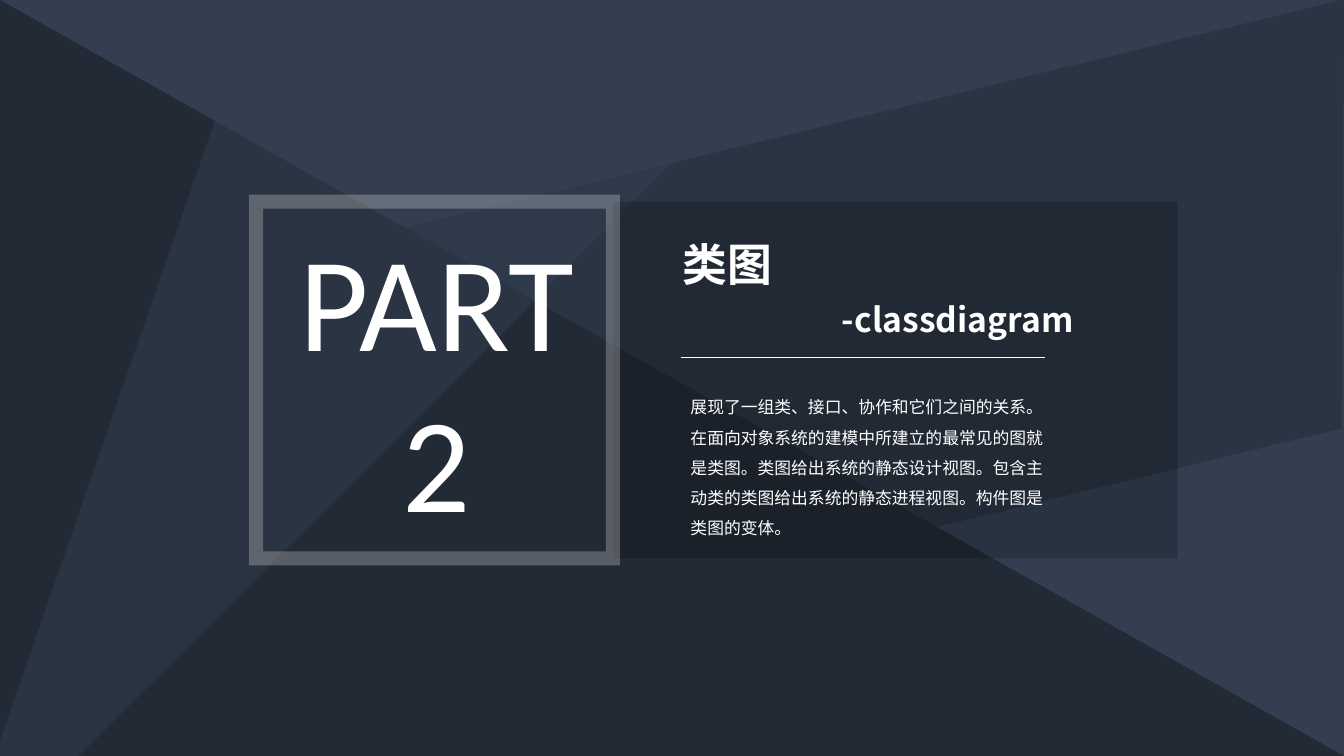
from dataclasses import dataclass

from lxml.etree import SubElement
from pptx import Presentation
from pptx.dml.color import RGBColor
from pptx.enum.shapes import MSO_CONNECTOR, MSO_SHAPE
from pptx.enum.text import MSO_AUTO_SIZE, PP_ALIGN
from pptx.oxml.ns import qn
from pptx.util import Inches, Pt


@dataclass(frozen=True)
class Theme:
    slate: str = "333F50"
    navy: str = "222A35"
    black: str = "000000"
    gray: str = "D9D9D9"
    white: str = "FFFFFF"
    latin: str = "Calibri"
    cjk: str = "Noto Sans CJK SC"
    huge: int = 96
    title: int = 32
    sub: int = 24
    body: int = 12


THEME = Theme()

PART = ["PART", "2"]
TITLE = "类图"
SUB = "-classdiagram"
BODY = (
    "展现了一组类、接口、协作和它们之间的关系。"
    "在面向对象系统的建模中所建立的最常见的图就是类图。"
    "类图给出系统的静态设计视图。"
    "包含主动类的类图给出系统的静态进程视图。"
    "构件图是类图的变体。"
)

WIDE, HIGH = 13.33, 7.5
SIDE = 3.54
LEFT, TOP = 2.54, 2
PANEL = LEFT + SIDE
RULE_X, RULE_Y, RULE_W = 6.75, 3.55, 3.61

# kind, box, turn, adjust, colour, opacity
FACETS = [
    (MSO_SHAPE.ISOSCELES_TRIANGLE, (0, 0, WIDE, HIGH), 0, 0, THEME.navy, 100),
    (MSO_SHAPE.PARALLELOGRAM, (-0.71, 1.68, 14.74, 4.13), 346.3, None,
     THEME.navy, 50),
    (MSO_SHAPE.ISOSCELES_TRIANGLE, (1.18, -1.16, 5.41, 11.12), 199.1, 1,
     THEME.slate, 50),
    (MSO_SHAPE.RECTANGLE, (PANEL, TOP, 5.6, SIDE), 0, None, THEME.black, 20),
]


def paint(fill, color, alpha=100):
    """Give a solid fill a colour and an opacity in percent."""
    fill.solid()
    fill.fore_color.rgb = RGBColor.from_string(color)
    if alpha < 100:
        tone = fill._xPr.find(qn("a:solidFill"))[0]
        SubElement(tone, qn("a:alpha")).set("val", str(alpha * 1000))


def add_form(slide, kind, box, turn=0, adjust=None):
    form = slide.shapes.add_shape(kind, *map(Inches, box))
    form.shadow.inherit = False
    form.rotation = turn
    if adjust is not None:
        form.adjustments[0] = adjust
    return form


def add_text(slide, box, lines, size, font=THEME.cjk, bold=False,
             align=PP_ALIGN.LEFT, space=1.0, inset=0.1):
    area = slide.shapes.add_textbox(*map(Inches, box))
    frame = area.text_frame
    frame.word_wrap = True
    frame.auto_size = MSO_AUTO_SIZE.SHAPE_TO_FIT_TEXT
    frame.margin_left = Inches(inset)
    for i, line in enumerate(lines):
        para = frame.add_paragraph() if i else frame.paragraphs[0]
        para.alignment = align
        para.line_spacing = space
        run = para.add_run()
        run.text = line
        run.font.size = Pt(size)
        run.font.bold = bold
        run.font.name = font
        run.font.color.rgb = RGBColor.from_string(THEME.white)
        east = SubElement(run._r.get_or_add_rPr(), qn("a:ea"))
        east.set("typeface", THEME.cjk)


def add_frame(slide):
    form = add_form(slide, MSO_SHAPE.RECTANGLE, (LEFT, TOP, SIDE, SIDE))
    form.fill.background()
    form.line.width = Pt(10)
    paint(form.line.fill, THEME.gray, 30)
    join = SubElement(form.line._get_or_add_ln(), qn("a:miter"))
    join.set("lim", "800000")


def add_rule(slide):
    ends = (RULE_X, RULE_Y, RULE_X + RULE_W, RULE_Y)
    rule = slide.shapes.add_connector(
        MSO_CONNECTOR.STRAIGHT, *map(Inches, ends))
    rule.line.width = Pt(0.5)
    paint(rule.line.fill, THEME.white)
    SubElement(rule._element.spPr, qn("a:effectLst"))


def main():
    deck = Presentation()
    deck.slide_width, deck.slide_height = Inches(WIDE), Inches(HIGH)
    slide = deck.slides.add_slide(deck.slide_layouts[6])
    paint(slide.background.fill, THEME.slate)

    for kind, box, turn, adjust, color, alpha in FACETS:
        form = add_form(slide, kind, box, turn, adjust)
        paint(form.fill, color, alpha)
        form.line.fill.background()
    add_frame(slide)

    add_text(slide, (2.75, 2.1, 3.17, 3.33), PART, THEME.huge,
             font=THEME.latin, align=PP_ALIGN.CENTER)
    add_text(slide, (6.67, 2.3, 4.89, 0.64), [TITLE], THEME.title, bold=True)
    add_text(slide, (7.25, 2.92, SIDE, 0.5), [SUB], THEME.sub, bold=True,
             inset=1.1)
    add_rule(slide)
    add_text(slide, (RULE_X, 3.79, 3.82, 1.58), [BODY], THEME.body,
             font=THEME.latin, space=1.5)
    deck.save("out.pptx")


if __name__ == "__main__":
    main()
